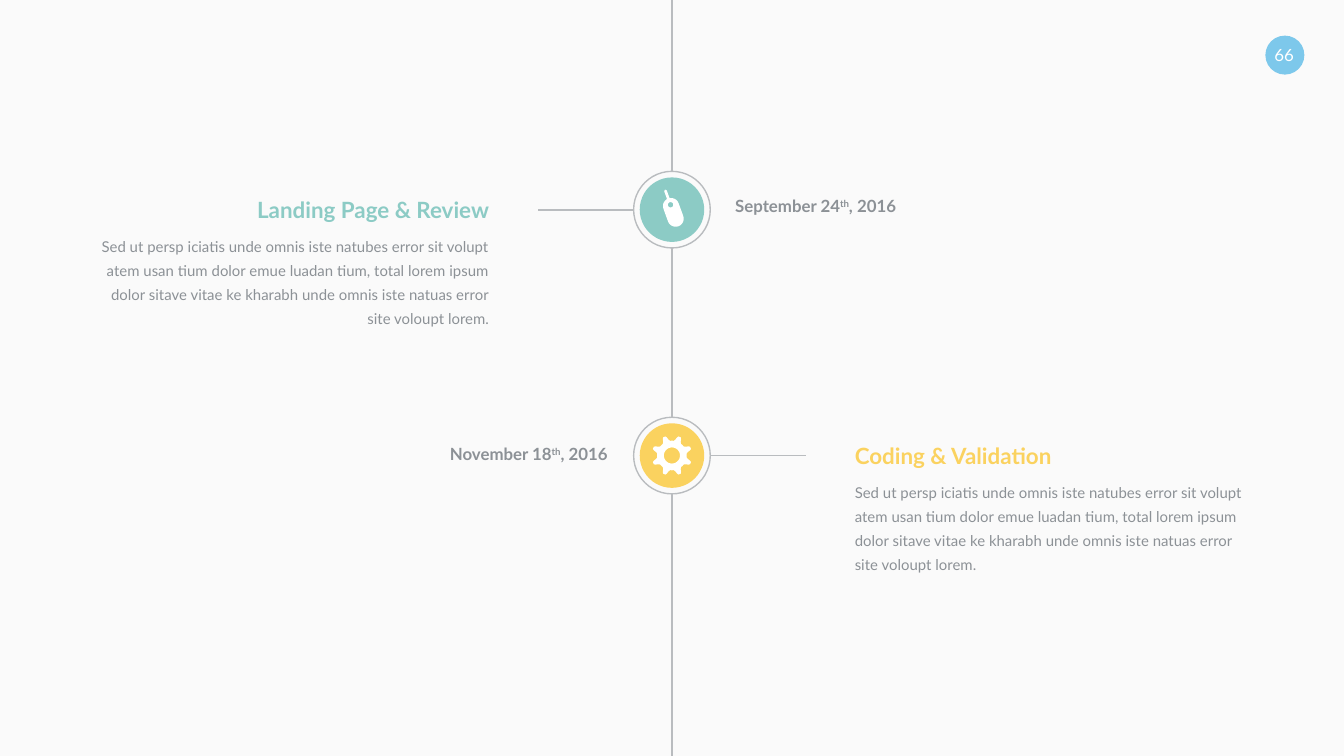
from math import cos, sin, radians
from lxml import etree
from pptx import Presentation
from pptx.dml.color import RGBColor
from pptx.enum.shapes import MSO_CONNECTOR, MSO_SHAPE
from pptx.enum.text import PP_ALIGN
from pptx.oxml.ns import qn
from pptx.util import Inches, Pt

LINE = MSO_CONNECTOR.STRAIGHT
OVAL = MSO_SHAPE.OVAL
LEFT, MID, RIGHT = PP_ALIGN.LEFT, PP_ALIGN.CENTER, PP_ALIGN.RIGHT

WIDE = 10
HIGH = WIDE * 9 / 16
AXIS = WIDE / 2
RING, DISC = 0.57, 0.48
GREY, RULE, WHITE = "8C9196", "B9BCBF", "FFFFFF"
TEAL, GOLD, BLUE = "8CCBC5", "FAD25F", "7DC8EB"
BODY = (
    "Sed ut persp iciatis unde omnis iste natubes error sit volupt "
    "atem usan tium dolor emue luadan tium, total lorem ipsum "
    "dolor sitave vitae ke kharabh unde omnis iste natuas error "
    "site voloupt lorem."
)


def color(code):
    return RGBColor.from_string(code)


def paint(shape, fill=None, line=None):
    shape.shadow.inherit = False
    if fill:
        shape.fill.solid()
        shape.fill.fore_color.rgb = color(fill)
    else:
        shape.fill.background()
    if line:
        shape.line.color.rgb = color(line)
        shape.line.width = Pt(0.75)
    else:
        shape.line.fill.background()


def add_circle(slide, x, y, size, fill=None, line=None):
    box = [Inches(n) for n in (x - size / 2, y - size / 2, size, size)]
    paint(slide.shapes.add_shape(OVAL, *box), fill, line)


def add_line(slide, x1, y1, x2, y2):
    ends = [Inches(n) for n in (x1, y1, x2, y2)]
    rule = slide.shapes.add_connector(LINE, *ends)
    rule.line.color.rgb = color(RULE)
    rule.line.width = Pt(1)
    etree.SubElement(rule._element.spPr, qn("a:effectLst"))


def add_text(slide, box, parts, size, code, align=LEFT, bold=False, space=None):
    frame = slide.shapes.add_textbox(*[Inches(n) for n in box]).text_frame
    frame.word_wrap = True
    frame.margin_left = frame.margin_right = 0
    frame.margin_top = frame.margin_bottom = 0
    para = frame.paragraphs[0]
    para.alignment = align
    if space:
        para.line_spacing = space
    para.font.name = "Lato"
    para.font.size = Pt(size)
    para.font.bold = bold
    para.font.color.rgb = color(code)
    for text in parts:
        run = para.add_run()
        run.text = text
        if text == "th":
            run._r.get_or_add_rPr().set("baseline", "30000")


def polar(radius, angle, dy=0):
    turn = radians(angle)
    return radius * cos(turn), radius * sin(turn) + dy


def add_icon(slide, x, y, paths, tilt=0):
    c, s = cos(radians(tilt)), sin(radians(tilt))
    maker = None
    for path in paths:
        spots = [
            (Inches(x + u * c - v * s), Inches(y + u * s + v * c)) for u, v in path
        ]
        if maker is None:
            maker = slide.shapes.build_freeform(*spots[0])
        else:
            maker.move_to(*spots[0])
        maker.add_line_segments(spots[1:], close=True)
    paint(maker.convert_to_shape(), WHITE)


def add_mouse(slide, x, y):
    low = [polar(0.06, a, 0.05) for a in range(0, 181, 15)]
    left = [polar(0.06, a, -0.05) for a in range(180, 256, 15)]
    cord = [(-0.01, -0.11), (-0.01, -0.17), (0, -0.18), (0.01, -0.17), (0.01, -0.11)]
    right = [polar(0.06, a, -0.05) for a in range(285, 361, 15)]
    hole = [polar(0.02, -a, -0.06) for a in range(0, 360, 20)]
    add_icon(slide, x + 0.01, y + 0.02, [low + left + cord + right, hole], -20)


def add_gear(slide, x, y):
    tooth = [(0, 0.11), (7, 0.11), (12, 0.12), (16, 0.14), (19, 0.15),
             (26, 0.15), (29, 0.14), (33, 0.12), (38, 0.11)]
    rim = [polar(r, base + a) for base in range(0, 360, 45) for a, r in tooth]
    hole = [polar(0.06, -a) for a in range(0, 360, 10)]
    add_icon(slide, x, y, [rim, hole])


def add_stop(slide, y, code, draw, title, date, top, side):
    add_circle(slide, AXIS, y, RING, line=RULE)
    add_circle(slide, AXIS, y, DISC, fill=code)
    draw(slide, AXIS, y)
    add_line(slide, AXIS + side * RING / 2, y, AXIS + side, y)
    left, align, day, other = (
        (0.75, RIGHT, 5.47, LEFT) if side < 0 else (6.36, LEFT, 2.9, RIGHT)
    )
    add_text(slide, (left, y - 0.1, 2.89, 0.2), [title], 12, code, align, True)
    add_text(slide, (left, y + 0.16, 2.89, 0.71), [BODY], 8, GREY, align, space=1.35)
    add_text(slide, (day, top, 1.62, 0.15), date, 9, GREY, other, True)


def main():
    deck = Presentation()
    deck.slide_width, deck.slide_height = Inches(WIDE), Inches(HIGH)
    slide = deck.slides.add_slide(deck.slide_layouts[6])
    slide.background.fill.solid()
    slide.background.fill.fore_color.rgb = color("FAFAFA")

    add_circle(slide, 9.56, 0.41, 0.29, fill=BLUE)
    add_text(slide, (9.43, 0.33, 0.25, 0.15), ["66"], 9, WHITE, MID)

    first, last = 1.56, 3.39
    half = RING / 2
    for top, end in ((0, first - half), (first + half, last - half), (last + half, HIGH)):
        add_line(slide, AXIS, top, AXIS, end)

    add_stop(slide, first, TEAL, add_mouse, "Landing Page & Review",
             ["September 24", "th", ", 2016"], 1.46, -1)
    add_stop(slide, last, GOLD, add_gear, "Coding & Validation",
             ["November 18", "th", ", 2016"], 3.3, 1)
    deck.save("out.pptx")


if __name__ == "__main__":
    main()
